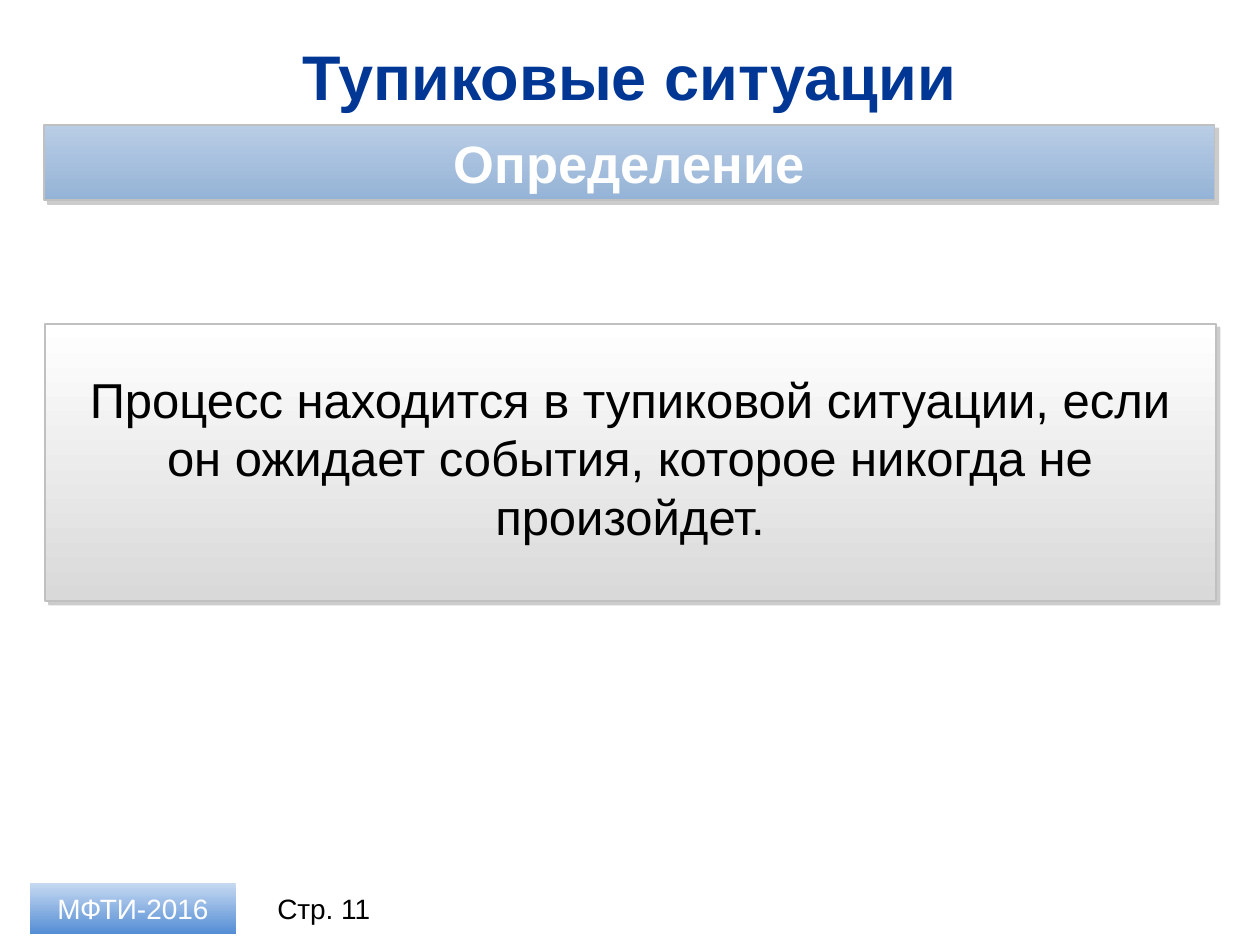
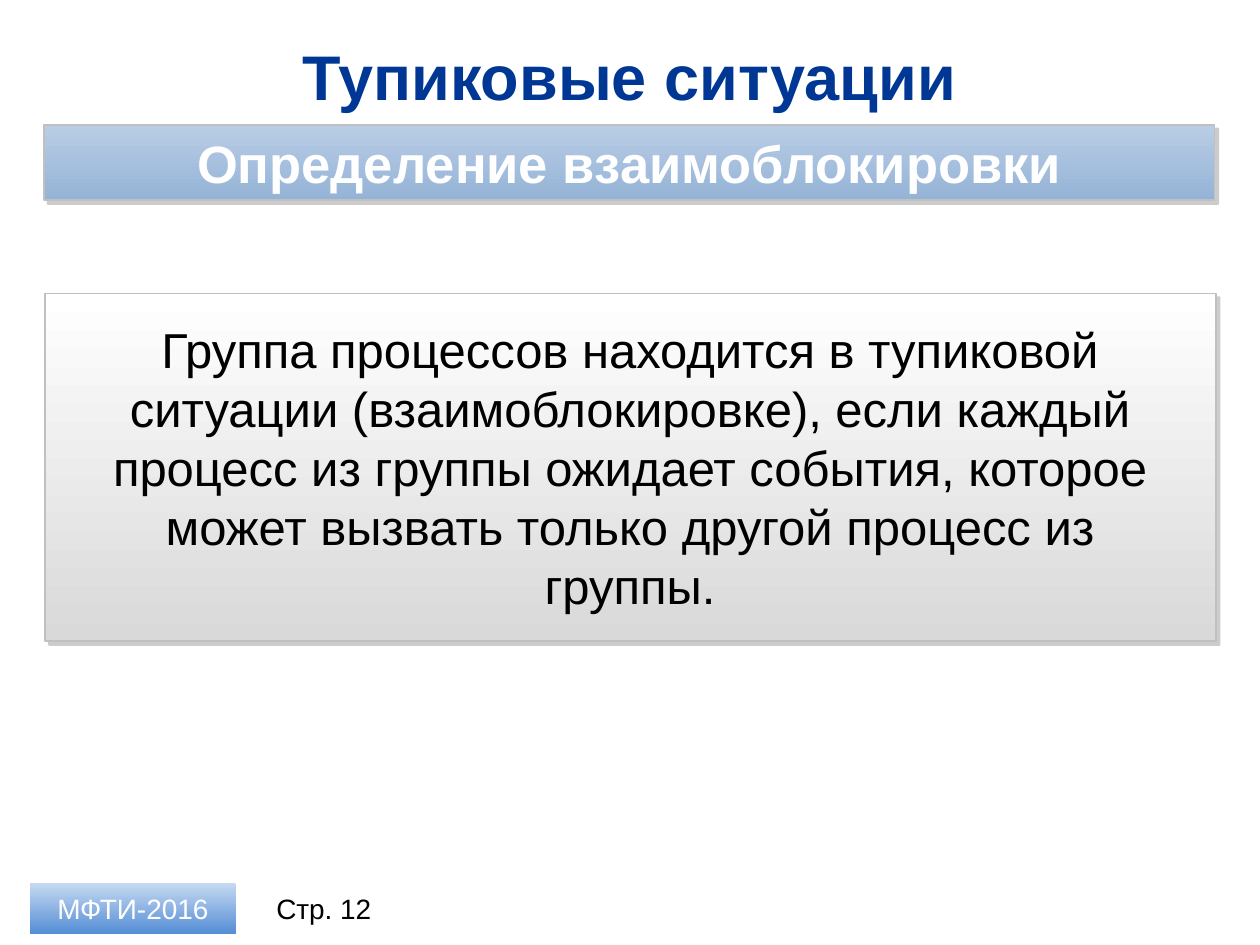
from lxml.etree import SubElement
from pptx import Presentation
from pptx.dml.color import RGBColor
from pptx.enum.shapes import MSO_SHAPE
from pptx.enum.text import MSO_ANCHOR, MSO_AUTO_SIZE, PP_ALIGN
from pptx.oxml.ns import qn
from pptx.util import Inches, Pt

WIDE, HIGH = Inches(10), Inches(7.5)
COL, ROW = WIDE / 100, HIGH / 75

NAVY = RGBColor(0x00, 0x37, 0x94)
BLACK = RGBColor(0x00, 0x00, 0x00)
WHITE = RGBColor(0xFF, 0xFF, 0xFF)
EDGE = RGBColor(0xC0, 0xC0, 0xC0)
SHADE = RGBColor(0x80, 0x80, 0x80)
BAND = RGBColor(0xB9, 0xCD, 0xE5), RGBColor(0x95, 0xB3, 0xD7)
PANEL = WHITE, RGBColor(0xD9, 0xD9, 0xD9)
BADGE = RGBColor(0xC6, 0xD9, 0xF1), RGBColor(0x55, 0x8E, 0xD5)

TITLE = {"size": Pt(36), "bold": True}
HEAD = {"size": Pt(30), "bold": True}
BODY = {"size": Pt(28), "bold": False}
FOOT = {"size": Pt(16), "bold": False}

TITLE_BOX = 3.5, 2.6, 92.9, 6.8
BAND_BOX = 3.5, 9.9, 92.9, 6
FOOT_BOX = 2.4, 70.1, 28.7, 4

SLIDES = [
    ("Определение",
     "Процесс находится в тупиковой ситуации, если он ожидает события, "
     "которое никогда не произойдет.",
     (3.6, 25.7, 92.9, 22), 3.1),
    ("Определение взаимоблокировки",
     "Группа процессов находится в тупиковой ситуации (взаимоблокировке), "
     "если каждый процесс из группы ожидает события, которое может вызвать "
     "только другой процесс из группы.",
     (3.6, 23.3, 92.9, 27.6), 1.6),
]
FIRST = 11


def place(box):
    left, top, width, height = box
    return [round(n) for n in (left * COL, top * ROW, width * COL, height * ROW)]


def write(shape, text, style, color, anchor=MSO_ANCHOR.MIDDLE):
    frame = shape.text_frame
    form = {"word_wrap": True, "auto_size": MSO_AUTO_SIZE.NONE,
            "vertical_anchor": anchor}
    for key, value in form.items():
        setattr(frame, key, value)
    para = frame.paragraphs[0]
    para.alignment = PP_ALIGN.CENTER
    run = para.add_run()
    run.text = text
    for key, value in {"name": "Arial", **style}.items():
        setattr(run.font, key, value)
    run.font.color.rgb = color


def label(slide, box, text, style, anchor=MSO_ANCHOR.MIDDLE):
    write(slide.shapes.add_textbox(*place(box)), text, style, BLACK, anchor)


def block(slide, box, colors):
    shape = slide.shapes.add_shape(MSO_SHAPE.RECTANGLE, *place(box))
    shape.fill.gradient()
    shape.fill.gradient_angle = 270
    for stop, color in zip(shape.fill.gradient_stops, colors):
        stop.color.rgb = color
    shape.line.fill.background()
    shape.shadow.inherit = False
    return shape


def raised(slide, box, colors):
    shape = block(slide, box, colors)
    shape.line.color.rgb = EDGE
    shape.line.width = Pt(1)
    effects = shape._element.spPr.find(qn("a:effectLst"))
    shadow = SubElement(effects, qn("a:outerShdw"), blurRad="0",
                        dist=str(Pt(3)), dir="2700000", algn="tl",
                        rotWithShape="0")
    tone = SubElement(shadow, qn("a:srgbClr"), val=str(SHADE))
    SubElement(tone, qn("a:alpha"), val="40000")
    return shape


def title(slide, box):
    shape = slide.shapes.title
    for key, value in zip(("left", "top", "width", "height"), place(box)):
        setattr(shape, key, value)
    write(shape, "Тупиковые ситуации", TITLE, NAVY)


def band(slide, box, text):
    shape = raised(slide, box, BAND)
    insets = {"margin_left": 0.24, "margin_right": 0.24,
              "margin_top": 0.04, "margin_bottom": 0.04}
    for key, value in insets.items():
        setattr(shape.text_frame, key, Inches(value))
    write(shape, text, HEAD, WHITE)


def panel(slide, box, text, pad):
    left, top, width, height = box
    raised(slide, box, PANEL)
    inner = left + 1.5, top + pad, width - 3.1, height - 2 * pad
    label(slide, inner, text, BODY, MSO_ANCHOR.TOP)


def footer(slide, box, page):
    left, top, width, height = box
    badge = block(slide, (left, top, 16.3, height), BADGE)
    write(badge, "МФТИ-2016", FOOT, WHITE)
    label(slide, (left + 17.9, top, width - 17.9, height), f"Стр. {page}", FOOT)


def main():
    deck = Presentation()
    deck.slide_width, deck.slide_height = WIDE, HIGH
    for page, (head, text, box, pad) in enumerate(SLIDES, FIRST):
        slide = deck.slides.add_slide(deck.slide_layouts[5])
        title(slide, TITLE_BOX)
        footer(slide, FOOT_BOX, page)
        panel(slide, box, text, pad)
        band(slide, BAND_BOX, head)
    deck.save("out.pptx")


if __name__ == "__main__":
    main()
